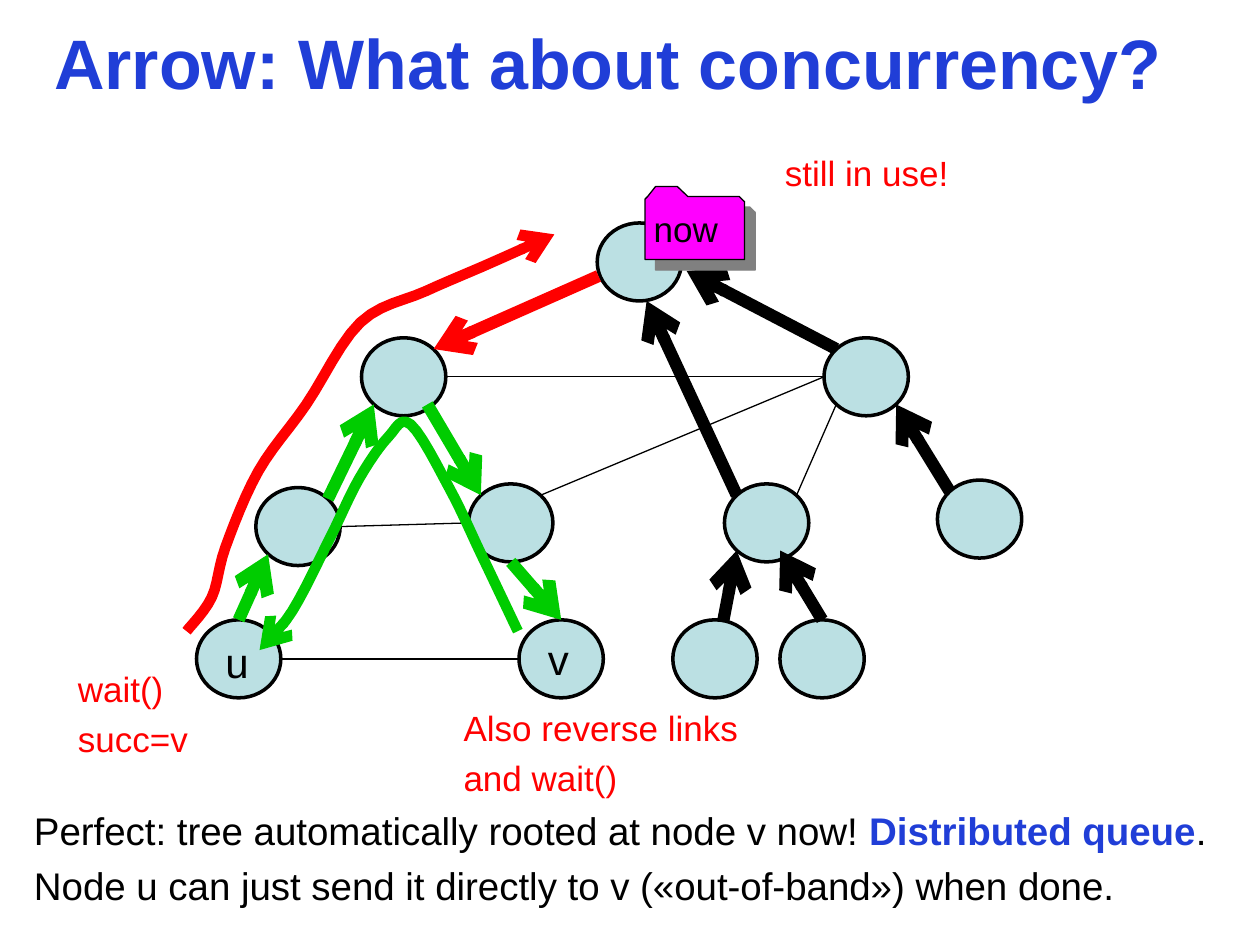
"""Build the slide on concurrent requests in the Arrow protocol."""
import itertools

import lxml.etree
import pptx
import pptx.dml.color
import pptx.enum.shapes
import pptx.enum.text
import pptx.oxml.ns
import pptx.util

Pt = pptx.util.Pt
RGB = pptx.dml.color.RGBColor
qn = pptx.oxml.ns.qn

BLACK = RGB(0x00, 0x00, 0x00)
RED = RGB(0xFF, 0x00, 0x00)
GREEN = RGB(0x00, 0xCC, 0x00)
BLUE = RGB(0x20, 0x3E, 0xD7)
NODE_FILL = RGB(0xBB, 0xE0, 0xE3)
MAGENTA = RGB(0xFF, 0x00, 0xFF)
GREY = RGB(0x80, 0x80, 0x80)

NODE_W, NODE_H = 48.2, 44.6
CENTERS = {
    "root": (365.4, 149.7),
    "left": (230.7, 215.3), "right": (495, 215.3),
    "left_a": (170.3, 300.9), "left_b": (291.9, 298.8),
    "right_a": (438.1, 298.8), "right_b": (559.8, 296.6),
    "u": (136.4, 376.5), "v": (320.7, 376.5),
    "leaf_a": (408.6, 376.5), "leaf_b": (469.8, 376.5),
}

# Sites are offsets from a node's centre, in half widths and half heights.
TOP, BOTTOM, LEFT, RIGHT = (0, -1), (0, 1), (-1, 0), (1, 0)
TOP_LEFT, TOP_RIGHT = (-0.71, -0.71), (0.71, -0.71)
BOTTOM_LEFT, BOTTOM_RIGHT = (-0.71, 0.71), (0.71, 0.71)

ARROWS = [
    ("right", TOP_LEFT, "root", (1.12, 0.23), BLACK),
    ("root", (-0.97, 0.36), "left", TOP_RIGHT, RED),
    ("left", (0.56, 0.71), "left_b", TOP_LEFT, GREEN),
    ("left_a", TOP_RIGHT, "left", BOTTOM_LEFT, GREEN),
    ("u", TOP, "left_a", BOTTOM_LEFT, GREEN),
    ("left_b", BOTTOM, "v", TOP, GREEN),
    ("leaf_b", TOP, "right_a", (0.32, 0.71), BLACK),
    ("leaf_a", (0.2, -1), "right_a", BOTTOM_LEFT, BLACK),
    ("right_b", TOP_LEFT, "right", BOTTOM_RIGHT, BLACK),
    ("right_a", TOP_LEFT, "root", (0.17, 1), BLACK),
]
LINKS = [
    ("right", BOTTOM_LEFT, "right_a", TOP_RIGHT),
    ("left_a", RIGHT, "left_b", LEFT),
    ("u", RIGHT, "v", LEFT),
    ("left", RIGHT, "right", LEFT),
    ("left_b", TOP_RIGHT, "right", LEFT),
]
U_TO_ROOT = [
    (106.6, 360.7), (121, 341.3), (128.9, 312.5), (147.6, 269.3), (175, 231.1),
    (205.9, 184.3), (243.4, 166.3), (281.5, 149.8), (316.8, 133.9),
]
V_TO_U = [
    (295.9, 360.7), (275, 316.8), (257, 279.4), (234.7, 242.6), (221.8, 249.8),
    (205.2, 273.6), (188.6, 307.4), (167, 349.2), (148.3, 371.5),
]
LABELS = [
    (366.5, 113.8, 55.4, ["now"], 20, BLACK),
    (37.4, 391, 61.9, ["wait()", "succ=v"], 20, RED),
    (257.8, 413.3, 61.9, ["Also reverse links", "and wait()"], 20, RED),
    (441.4, 82.1, 61.9, ["still in use!"], 20, RED),
    (121.7, 361.4, 28.8, ["u"], 24, BLACK),
    (306, 360, 28.8, ["v"], 24, BLACK),
]
LABEL_H = 33


def site_point(node, site):
    (x, y), (dx, dy) = CENTERS[node], site
    return x + dx * NODE_W / 2, y + dy * NODE_H / 2


def smooth_points(points, steps=6):
    """Return points on the Catmull-Rom curve through the given ones."""
    padded = [points[0], *points, points[-1]]
    curve = [points[0]]
    for i, step in itertools.product(range(len(points) - 1), range(1, steps + 1)):
        t = step / steps
        curve.append(tuple(
            (2 * b + (c - a) * t + (2 * a - 5 * b + 4 * c - d) * t ** 2
             + (3 * b - a - 3 * c + d) * t ** 3) / 2
            for a, b, c, d in zip(*padded[i:i + 4])))
    return curve


def set_fill(sp, color):
    sp.fill.solid()
    sp.fill.fore_color.rgb = color


def set_line(sp, color, width, arrow=False):
    sp.line.color.rgb = color
    sp.line.width = Pt(width)
    if arrow:
        ln = sp.element.spPr.find(qn("a:ln"))
        lxml.etree.SubElement(ln, qn("a:tailEnd"), type="arrow")


def fill_text(sp, box, paragraphs, size, gap=4.6):
    """Place a text holder and write its paragraphs of (text, color, bold) runs."""
    for name, value in zip(("left", "top", "width", "height"), box):
        setattr(sp, name, Pt(value))
    tf = sp.text_frame
    frame = {
        "word_wrap": False,
        "auto_size": pptx.enum.text.MSO_AUTO_SIZE.NONE,
        "vertical_anchor": pptx.enum.text.MSO_ANCHOR.MIDDLE,
    }
    for name, value in frame.items():
        setattr(tf, name, value)
    for i, runs in enumerate(paragraphs):
        p = tf.add_paragraph() if i else tf.paragraphs[0]
        p.alignment = pptx.enum.text.PP_ALIGN.LEFT
        p.space_before = Pt(gap)
        for text, color, bold in runs:
            r = p.add_run()
            r.text = text
            r.font.color.rgb = color
            for name, value in {"name": "Arial", "size": Pt(size), "bold": bold}.items():
                setattr(r.font, name, value)


def remove_bullets(sp):
    for p in sp.text_frame.paragraphs:
        pPr = p._p.get_or_add_pPr()
        for name in ("marL", "indent"):
            pPr.set(name, "0")
        lxml.etree.SubElement(pPr, qn("a:buNone"))


def add_node(s, node):
    x, y = site_point(node, (-1, -1))
    sp = s.shapes.add_shape(pptx.enum.shapes.MSO_SHAPE.OVAL,
                            Pt(x), Pt(y), Pt(NODE_W), Pt(NODE_H))
    sp.shadow.inherit = False
    set_fill(sp, NODE_FILL)
    set_line(sp, BLACK, 2)


def add_edge(s, start, start_site, end, end_site, color=BLACK, width=0.75, arrow=False):
    ends = site_point(start, start_site) + site_point(end, end_site)
    sp = s.shapes.add_connector(pptx.enum.shapes.MSO_CONNECTOR.STRAIGHT, *map(Pt, ends))
    set_line(sp, color, width, arrow)
    lxml.etree.SubElement(sp.element.spPr, qn("a:effectLst"))


def add_outline(s, points, close):
    start, *rest = [(Pt(x), Pt(y)) for x, y in points]
    builder = s.shapes.build_freeform(*start)
    builder.add_line_segments(rest, close=close)
    sp = builder.convert_to_shape()
    sp.shadow.inherit = False
    return sp


def add_route(s, waypoints, color):
    sp = add_outline(s, smooth_points(waypoints), False)
    sp.fill.background()
    set_line(sp, color, 6, True)


def add_folder(s, left, top, width, height, tab_w=24.5, tab_h=5.7, corner=3):
    """Draw a folder with a tab at its upper left and a hard shadow."""
    right, bottom, edge = left + width, top + height, top + tab_h
    sp = add_outline(s, [
        (left, bottom), (left, edge + corner / 2), (left + corner / 2, edge),
        (left + 2 * corner, top), (left + tab_w - 2 * corner, top), (left + tab_w, edge),
        (right - corner, edge), (right, edge + corner), (right, bottom),
    ], True)
    set_fill(sp, MAGENTA)
    set_line(sp, BLACK, 0.75)
    effects = sp.element.spPr.find(qn("a:effectLst"))
    shadow = lxml.etree.SubElement(effects, qn("a:outerShdw"), dist=str(Pt(8.5)),
                                   dir="2700000", algn="ctr", rotWithShape="0")
    lxml.etree.SubElement(shadow, qn("a:srgbClr"), val=str(GREY))


def main():
    prs = pptx.Presentation()
    prs.slide_width, prs.slide_height = Pt(720), Pt(540)
    s = prs.slides.add_slide(prs.slide_layouts[1])
    title, body = s.placeholders
    fill_text(title, (23.8, 15.8, 648, 38.9),
              [[("Arrow: What about concurrency?", BLUE, True)]], 40, 0)
    fill_text(body, (12.2, 445, 689, 90), [
        [("Perfect: tree automatically rooted at node v now! ", BLACK, False),
         ("Distributed queue", BLUE, True), (".", BLACK, False)],
        [("Node u can just send it directly to v («out-of-band») when done.", BLACK, False)],
    ], 22)
    remove_bullets(body)
    for node in CENTERS:
        add_node(s, node)
    for arrow in ARROWS:
        add_edge(s, *arrow, width=7, arrow=True)
    for link in LINKS:
        add_edge(s, *link)
    add_folder(s, 368.6, 106.6, 56.9, 41.7)
    add_route(s, U_TO_ROOT, RED)
    add_route(s, V_TO_U, GREEN)
    for x, y, w, lines, size, color in LABELS:
        sp = s.shapes.add_textbox(Pt(x), Pt(y), Pt(w), Pt(LABEL_H))
        fill_text(sp, (x, y, w, LABEL_H), [[(text, color, False)] for text in lines], size)
    prs.save("out.pptx")


if __name__ == "__main__":
    main()
